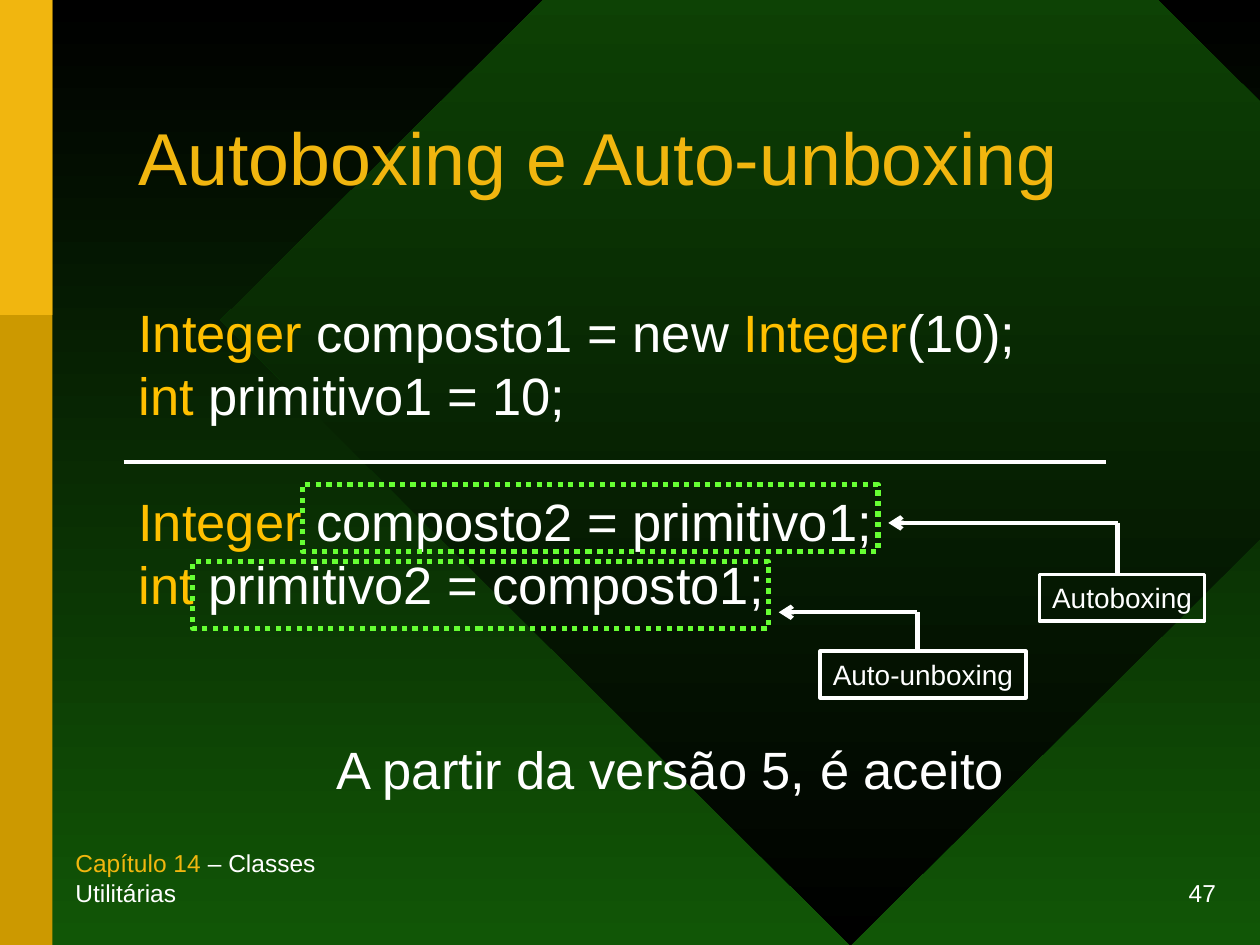
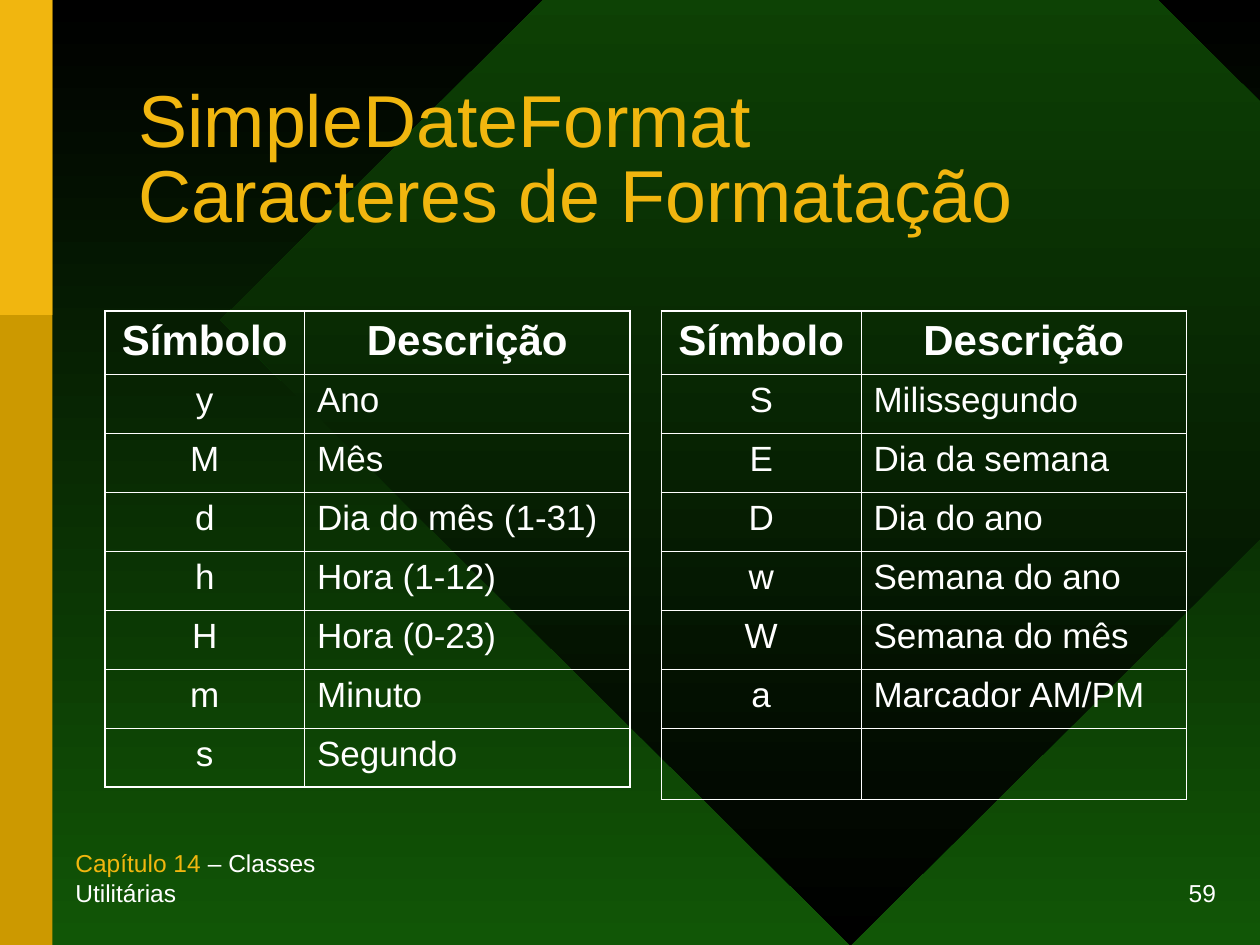
import dataclasses

import pptx
import pptx.dml.color
import pptx.enum.dml
import pptx.enum.shapes
import pptx.enum.text
import pptx.oxml.ns
import pptx.util
from lxml import etree

Pt = pptx.util.Pt
RGB = pptx.dml.color.RGBColor.from_string
qn = pptx.oxml.ns.qn
Shape = pptx.enum.shapes.MSO_SHAPE
Align = pptx.enum.text.PP_ALIGN
Anchor = pptx.enum.text.MSO_ANCHOR


@dataclasses.dataclass(frozen=True)
class Theme:
    font: str = "Arial"
    black: str = "000000"
    green: str = "115606"
    gold: str = "F1B60F"
    dark_gold: str = "CC9900"
    keyword: str = "FFC000"
    white: str = "FFFFFF"
    highlight: str = "66FF33"
    title_size: float = 42
    body_size: float = 30
    header_size: float = 24
    cell_size: float = 20
    label_size: float = 16
    footer_size: float = 14


theme = Theme()


def add_runs(paragraph, runs, size, bold=False, align=Align.LEFT):
    paragraph.alignment = align
    for text, color in runs:
        run = paragraph.add_run()
        run.text = text
        run.font.name = theme.font
        run.font.size = Pt(size)
        run.font.bold = bold
        run.font.color.rgb = RGB(color)


def add_line(slide, start, end, width, arrow=False):
    line = slide.shapes.add_connector(
        pptx.enum.shapes.MSO_CONNECTOR.STRAIGHT, *map(Pt, start + end))
    line.line.color.rgb = RGB(theme.white)
    line.line.width = Pt(width)
    if arrow:
        etree.SubElement(line.line._get_or_add_ln(), qn("a:tailEnd"), type="arrow")
    etree.SubElement(line.element.spPr, qn("a:effectLst"))


presentation = pptx.Presentation()
presentation.slide_width = Pt(720)
presentation.slide_height = Pt(540)

slides = []
for number, title_lines in [
    ("47", ["Autoboxing e Auto-unboxing"]),
    ("59", ["SimpleDateFormat", "Caracteres de Formatação"]),
]:
    slide = presentation.slides.add_slide(presentation.slide_layouts[5])
    slides.append(slide)

    diamond = slide.shapes.add_shape(Shape.DIAMOND, Pt(126), Pt(-174), Pt(720), Pt(714))
    diamond.shadow.inherit = False
    diamond.line.fill.background()
    for fill, colors in [
        (slide.background.fill, (theme.black, theme.green)),
        (diamond.fill, (theme.green, theme.black)),
    ]:
        fill.gradient()
        fill.gradient_angle = 270
        for stop, position, color in zip(fill.gradient_stops, (0, 1), colors):
            stop.position = position
            stop.color.rgb = RGB(color)

    for height, color in [(540, theme.dark_gold), (180, theme.gold)]:
        band = slide.shapes.add_shape(Shape.RECTANGLE, 0, 0, Pt(30), Pt(height))
        band.shadow.inherit = False
        band.fill.solid()
        band.fill.fore_color.rgb = RGB(color)
        band.line.fill.background()

    for left, align, runs in [
        (522, Align.RIGHT, [(number, theme.white)]),
        (36, Align.LEFT, [("Capítulo 14", theme.gold),
                          (" – Classes Utilitárias", theme.white)]),
    ]:
        footer = slide.shapes.add_textbox(Pt(left), Pt(504), Pt(180), Pt(18))
        footer.text_frame.word_wrap = False
        footer.text_frame.vertical_anchor = Anchor.BOTTOM
        add_runs(footer.text_frame.paragraphs[0], runs, theme.footer_size, align=align)

    title = slide.shapes.title
    title.left, title.top, title.width, title.height = map(Pt, (72, 48, 594, 90))
    title.text_frame.auto_size = pptx.enum.text.MSO_AUTO_SIZE.NONE
    title.text_frame.vertical_anchor = Anchor.MIDDLE
    paragraph = title.text_frame.paragraphs[0]
    paragraph.line_spacing = 0.85
    for index, text in enumerate(title_lines):
        if index:
            paragraph.add_line_break()
        add_runs(paragraph, [(text, theme.gold)], theme.title_size)
    slide.shapes.element.append(title.element)

boxing_slide, format_slide = slides

code = boxing_slide.shapes.add_textbox(Pt(72), Pt(168), Pt(594), Pt(221))
code.text_frame.word_wrap = True
for index, runs in enumerate([
    [("Integer", theme.keyword), (" composto1 = new ", theme.white),
     ("Integer", theme.keyword), ("(10);", theme.white)],
    [("int", theme.keyword), (" primitivo1 = 10;", theme.white)],
    [("Integer", theme.keyword), (" composto2 = primitivo1;", theme.white)],
    [("int", theme.keyword), (" primitivo2 = composto1;", theme.white)],
]):
    paragraph = code.text_frame.add_paragraph() if index else code.text_frame.paragraphs[0]
    paragraph.space_before = Pt(36 if index == 2 else 0)
    add_runs(paragraph, runs, theme.body_size)

add_line(boxing_slide, (70.6, 264.2), (632.2, 264.2), 2.25)

remark = boxing_slide.shapes.add_textbox(Pt(185), Pt(417.6), Pt(397.4), Pt(43.2))
remark.text_frame.word_wrap = False
add_runs(remark.text_frame.paragraphs[0],
         [("A partir da versão 5, é aceito", theme.white)], theme.body_size)

for label, highlight_at, label_at, corner, arrow_tip in [
    ("Autoboxing", (172.8, 277), (594, 328.3, 94.3, 26.6), (638.6, 298.8), 507.6),
    ("Auto-unboxing", (110.2, 321), (468.7, 372.2, 117.4, 26.6), (524.2, 349.9), 445),
]:
    highlight = boxing_slide.shapes.add_shape(
        Shape.RECTANGLE, *map(Pt, highlight_at), Pt(329), Pt(38.2))
    highlight.line.color.rgb = RGB(theme.highlight)
    highlight.line.width = Pt(3)
    highlight.line.dash_style = pptx.enum.dml.MSO_LINE.ROUND_DOT

    label_box = boxing_slide.shapes.add_shape(Shape.RECTANGLE, *map(Pt, label_at))
    label_box.line.color.rgb = RGB(theme.white)
    label_box.line.width = Pt(2.25)
    label_box.text_frame.word_wrap = False
    label_box.text_frame.vertical_anchor = Anchor.TOP
    add_runs(label_box.text_frame.paragraphs[0], [(label, theme.white)],
             theme.label_size, align=Align.CENTER)

    for shape in (highlight, label_box):
        shape.shadow.inherit = False
        shape.fill.background()

    corner_x, corner_y = corner
    add_line(boxing_slide, corner, (arrow_tip, corner_y), 2.5, arrow=True)
    add_line(boxing_slide, (corner_x, label_at[1]), corner, 2.5)

header = ("Símbolo", "Descrição")
for left, last_height, symbols in [
    (60, 33.7, [("y", "Ano"), ("M", "Mês"), ("d", "Dia do mês (1-31)"),
                ("h", "Hora (1-12)"), ("H", "Hora (0-23)"),
                ("m", "Minuto"), ("s", "Segundo")]),
    (378, 40.8, [("S", "Milissegundo"), ("E", "Dia da semana"), ("D", "Dia do ano"),
                 ("w", "Semana do ano"), ("W", "Semana do mês"),
                 ("a", "Marcador AM/PM"), ("", "")]),
]:
    rows = [header] + symbols
    heights = [36.3] + [33.7] * (len(rows) - 2) + [last_height]
    table = format_slide.shapes.add_table(
        len(rows), 2, Pt(left), Pt(177.8), Pt(300), Pt(sum(heights))).table
    table.first_row = False
    table.horz_banding = False
    for column, width in zip(table.columns, (114, 186)):
        column.width = Pt(width)
    for row_index, texts in enumerate(rows):
        table.rows[row_index].height = Pt(heights[row_index])
        is_header = row_index == 0
        for column_index, text in enumerate(texts):
            cell = table.cell(row_index, column_index)
            cell_properties = cell._tc.get_or_add_tcPr()
            for side, is_outer in [
                ("L", column_index == 0), ("R", column_index == 1),
                ("T", is_header), ("B", row_index == len(rows) - 1),
            ]:
                border = etree.SubElement(cell_properties, qn("a:ln" + side),
                                          w=str(Pt(1.08 if is_outer else 0.45)))
                border_fill = etree.SubElement(border, qn("a:solidFill"))
                etree.SubElement(border_fill, qn("a:srgbClr"), val=theme.white)
            cell.fill.background()
            if text:
                centered = is_header or column_index == 0
                add_runs(cell.text_frame.paragraphs[0], [(text, theme.white)],
                         theme.header_size if is_header else theme.cell_size,
                         bold=is_header,
                         align=Align.CENTER if centered else Align.LEFT)

presentation.save("out.pptx")
